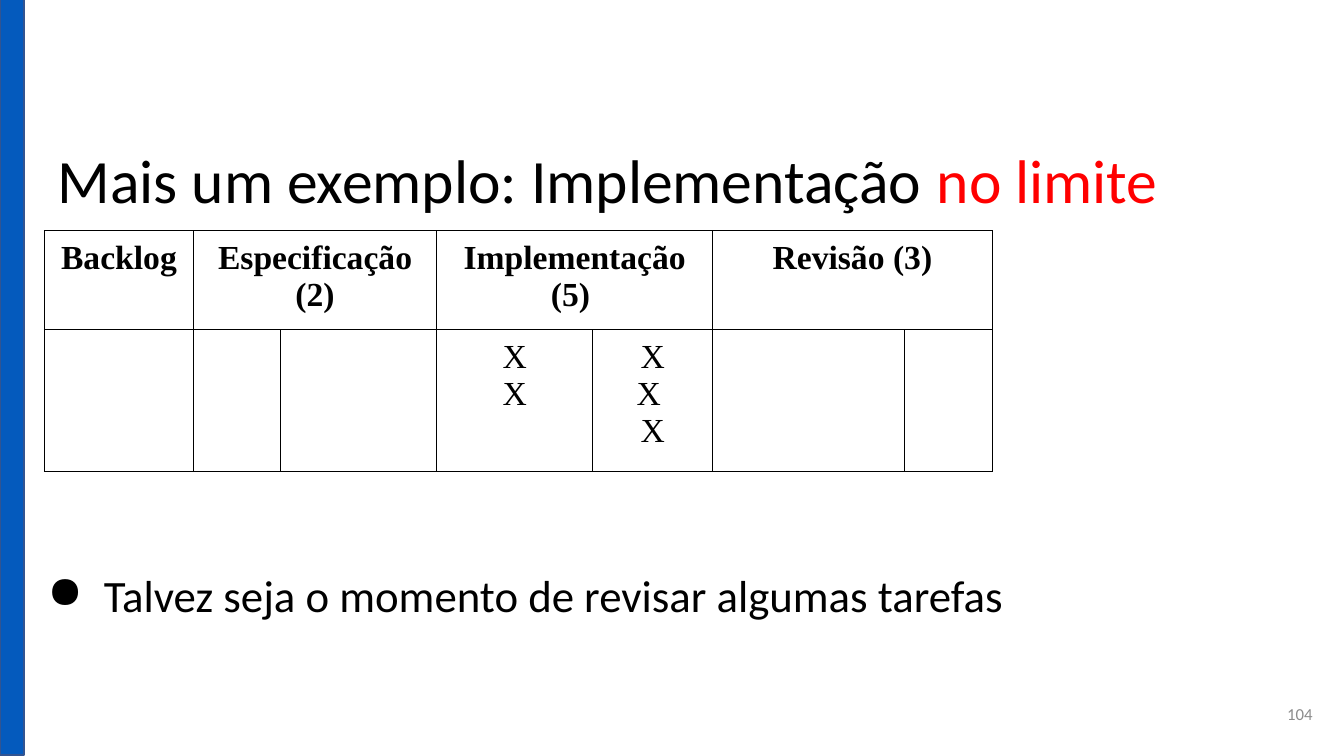
from lxml import etree
from pptx import Presentation
from pptx import util as u
from pptx.dml.color import RGBColor
from pptx.enum import shapes, text
from pptx.oxml.ns import qn

W, H = 13.33, 7.5
COLS = [1.48, 0.86, 1.55, 1.55, 1.19, 1.9, 0.87]
ROWS = [0.98, 1.41]
HEADERS = {0: "Backlog", 1: "Especificação (2)", 3: "Implementação (5) ", 5: "Revisão (3)"}
TASKS = {3: ["X", "X"], 4: ["X", "X ", "X"]}


def rgb(value):
    """Turn a hex string into a colour."""
    return RGBColor.from_string(value)


def add_run(p, words, size, color="000000", font="Calibri", bold=False):
    """Append one formatted run to a paragraph."""
    r = p.add_run()
    r.text = words
    r.font.size, r.font.name, r.font.bold = u.Pt(size), font, bold
    r.font.color.rgb = rgb(color)


def add_box(s, box, anchor=text.MSO_ANCHOR.TOP):
    """Add a wrapping text box and return its first paragraph."""
    tf = s.shapes.add_textbox(*map(u.Inches, box)).text_frame
    tf.word_wrap, tf.vertical_anchor = True, anchor
    tf.margin_left = tf.margin_right = tf.margin_top = tf.margin_bottom = u.Inches(0.13)
    return tf.paragraphs[0]


def add_side_bar(s, box):
    """Draw the blue bar along the left edge."""
    sp = s.shapes.add_shape(shapes.MSO_SHAPE.RECTANGLE, *map(u.Inches, box))
    sp.shadow.inherit = False
    sp.fill.solid()
    sp.fill.fore_color.rgb = rgb("045ABD")
    sp.line.color.rgb = rgb("325491")
    sp.line.width = u.Pt(1)


def add_title(s, box):
    """Write the title with its red ending."""
    p = add_box(s, box)
    p.line_spacing = 0.9
    add_run(p, "Mais um exemplo: Implementação ", 44)
    add_run(p, "no limite", 44, "FF0000")


def add_bullet(s, box):
    """Write the bulleted remark."""
    p = add_box(s, box)
    p.line_spacing = 1.14
    pPr = p._p.get_or_add_pPr()
    pPr.set("marL", str(u.Inches(0.67)))
    pPr.set("indent", str(u.Inches(-0.56)))
    etree.SubElement(pPr, qn("a:buChar")).set("char", "●")
    add_run(p, "Talvez seja o momento de revisar algumas tarefas", 32)


def add_page_number(s, box):
    """Write the slide number."""
    p = add_box(s, box, text.MSO_ANCHOR.MIDDLE)
    p.alignment = text.PP_ALIGN.RIGHT
    add_run(p, "104", 12, "8C8C8C")


def style_cell(cell):
    """Give a cell plain black borders, even margins and no fill."""
    cell.margin_left = cell.margin_right = u.Inches(0.09)
    cell.margin_top = cell.margin_bottom = u.Inches(0.09)
    tcPr = cell._tc.get_or_add_tcPr()
    for side in ("lnL", "lnR", "lnT", "lnB"):
        ln = etree.SubElement(tcPr, qn(f"a:{side}"), w=str(u.Pt(0.75)))
        fill = etree.SubElement(ln, qn("a:solidFill"))
        etree.SubElement(fill, qn("a:srgbClr"), val="000000")
    cell.fill.background()


def write_cell(cell, lines, bold):
    """Write centred lines into a cell."""
    tf = cell.text_frame
    for i, line in enumerate(lines):
        p = tf.add_paragraph() if i else tf.paragraphs[0]
        p.alignment = text.PP_ALIGN.CENTER
        add_run(p, line, 24, font="Times New Roman", bold=bold)


def add_board(s, left, top):
    """Build the kanban board."""
    box = (left, top, sum(COLS), sum(ROWS))
    board = s.shapes.add_table(len(ROWS), len(COLS), *map(u.Inches, box)).table
    board.first_row = board.horz_banding = False
    for column, width in zip(board.columns, COLS):
        column.width = u.Inches(width)
    for row, height in zip(board.rows, ROWS):
        row.height = u.Inches(height)
    for cell in board.iter_cells():
        style_cell(cell)
    for c, name in HEADERS.items():
        if c:
            board.cell(0, c).merge(board.cell(0, c + 1))
        write_cell(board.cell(0, c), [name], True)
    for c, marks in TASKS.items():
        write_cell(board.cell(1, c), marks, False)


def main():
    """Build and save the slide."""
    prs = Presentation()
    prs.slide_width, prs.slide_height = u.Inches(W), u.Inches(H)
    s = prs.slides.add_slide(prs.slide_layouts[6])
    add_side_bar(s, (0, -0.01, 0.24, H))
    add_title(s, (0.44, 1.36, 11.24, 0.84))
    add_page_number(s, (12.35, 6.8, 0.8, 0.57))
    add_board(s, 0.44, 2.29)
    add_bullet(s, (0.23, 5.43, 12.42, 1.2))
    prs.save("out.pptx")


if __name__ == "__main__":
    main()
